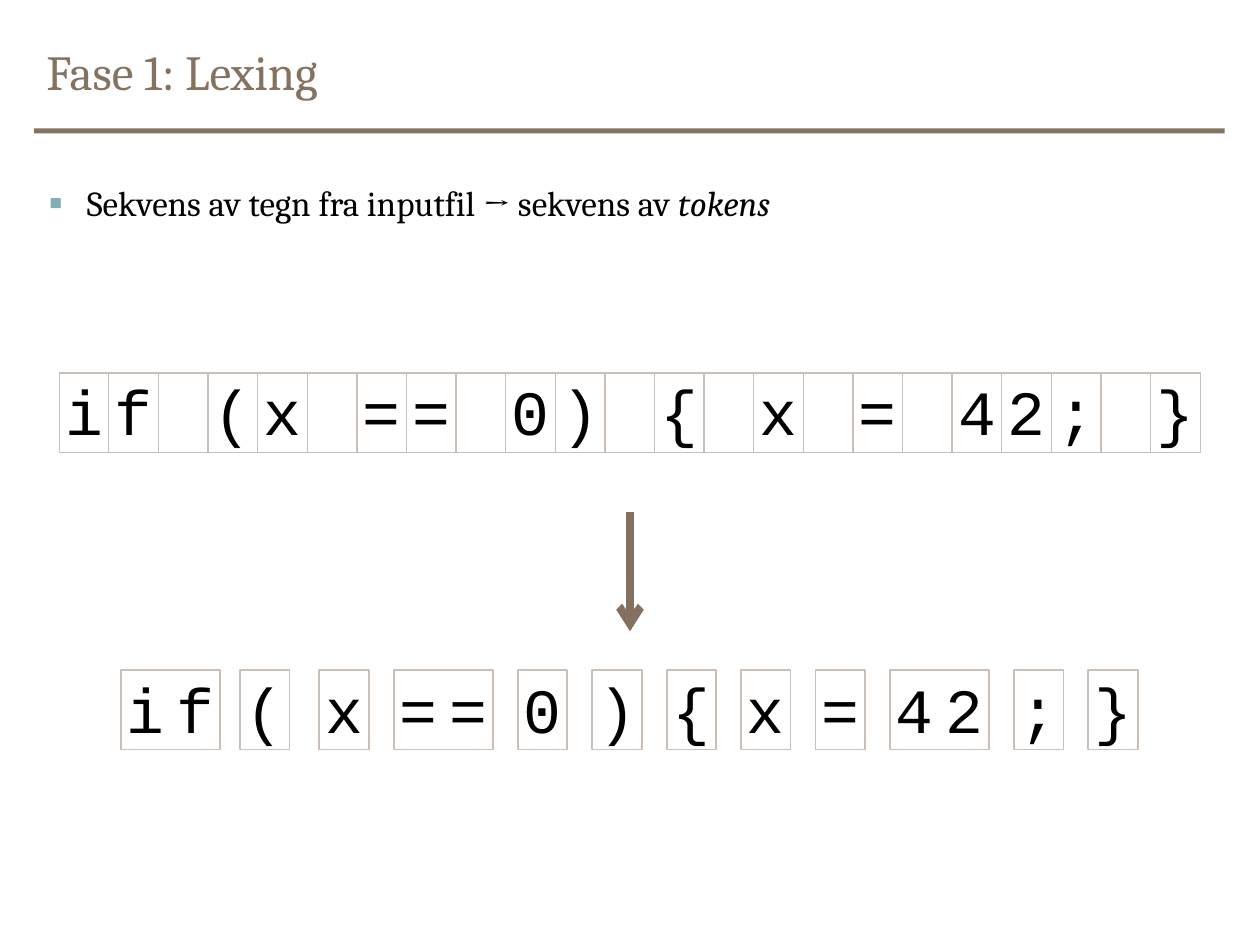
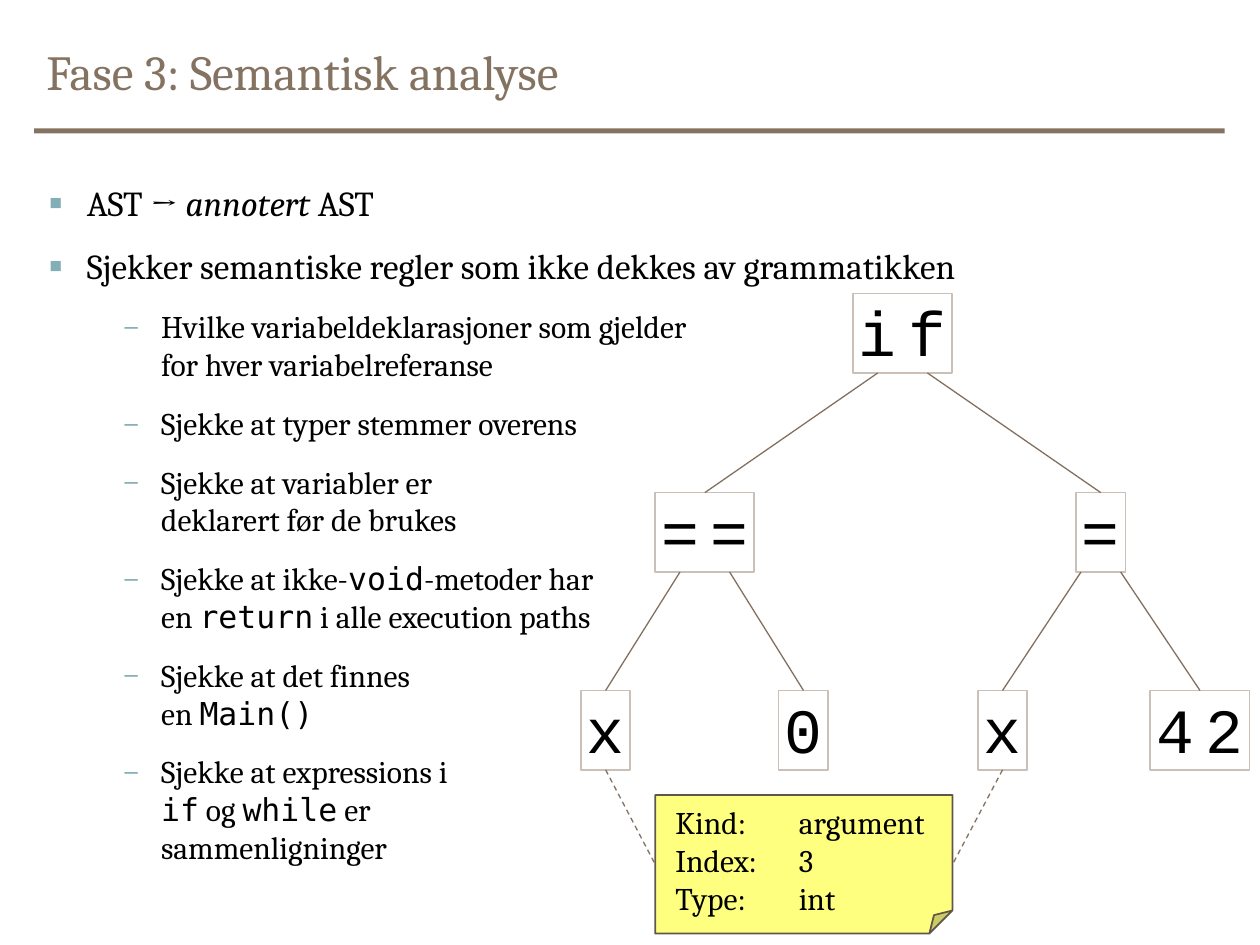
import pptx
import pptx.dml.color
import pptx.enum.dml
import pptx.enum.shapes
import pptx.enum.text
import pptx.oxml.ns
import pptx.util
from lxml import etree

Inches = pptx.util.Inches
Pt = pptx.util.Pt
RGBColor = pptx.dml.color.RGBColor
Align = pptx.enum.text.PP_ALIGN
Anchor = pptx.enum.text.MSO_ANCHOR
Shapes = pptx.enum.shapes.MSO_SHAPE
qn = pptx.oxml.ns.qn

# Content: a plain string is upright serif, a pair is (text, style)
LEXING_TITLE = "Fase 1: Lexing"
LEXING_BULLETS = [
    (1, ["Sekvens av tegn fra inputfil → sekvens av ", ("tokens", "italic")]),
]
SOURCE_CODE = "if (x == 0) { x = 42; }"
TOKENS = ["if", "(", "x", "==", "0", ")", "{", "x", "=", "42", ";", "}"]

ANALYSIS_TITLE = "Fase 3: Semantisk analyse"
ANALYSIS_BULLETS = [
    (1, ["AST → ", ("annotert", "italic"), " AST"]),
    (1, ["Sjekker semantiske regler som ikke dekkes av grammatikken"]),
    (2, ["Hvilke variabeldeklarasjoner som gjelder\nfor hver variabelreferanse"]),
    (2, ["Sjekke at typer stemmer overens"]),
    (2, ["Sjekke at variabler er\ndeklarert før de brukes"]),
    (2, ["Sjekke at ikke-", ("void", "mono"), "-metoder har\nen ",
         ("return", "mono"), " i alle execution paths"]),
    (2, ["Sjekke at det finnes\nen ", ("Main()", "mono")]),
    (2, ["Sjekke at expressions i\n", ("if", "mono"), " og ",
         ("while", "mono"), " er\nsammenligninger"]),
]
# Tree nodes: name -> (token, left, top)
TREE_NODES = {
    "if": ("if", 6.77, 2.33),
    "compare": ("==", 5.2, 3.91),
    "assign": ("=", 8.54, 3.91),
    "compared x": ("x", 4.61, 5.48),
    "zero": ("0", 6.18, 5.48),
    "assigned x": ("x", 7.76, 5.48),
    "42": ("42", 9.13, 5.48),
}
# Tree edges: (parent, child, share of the parent's width where it starts)
TREE_EDGES = [
    ("if", "compare", 0.25), ("if", "assign", 0.75),
    ("compare", "compared x", 0.25), ("compare", "zero", 0.75),
    ("assign", "assigned x", 0.1), ("assign", "42", 0.9),
]
NOTE_TEXT = "Kind:\targument\nIndex:\t3\nType:\tint"
NOTE_LINKS = [("compared x", 1), ("assigned x", 3)]

# Shared style
BROWN = RGBColor(0x85, 0x73, 0x62)
EDGE = RGBColor(0x83, 0x70, 0x5F)
TEAL = RGBColor(0x82, 0xAE, 0xB6)
BOX_LINE = RGBColor(0xCB, 0xC0, 0xB7)
NOTE_FILL = RGBColor(0xFF, 0xFF, 0x7F)
NOTE_LINE = RGBColor(0x62, 0x55, 0x49)
WHITE = RGBColor(0xFF, 0xFF, 0xFF)
BLACK = RGBColor(0, 0, 0)
SERIF, MONO, CODE = "Cambria", "DejaVu Sans Mono", "Courier New"
LEVELS = {1: ("▪", 0.3, 20), 2: ("–", 0.89, 18)}  # bullet, indent, size
CELL_WIDTH, CELL_HEIGHT = 9.45 / 24, 0.63


def write_text(frame, runs, size=18, font=SERIF, color=BLACK, align=Align.LEFT,
               anchor=Anchor.TOP, insets=(0.1, 0.05, 0.1, 0.05), wrap=True,
               new_paragraph=False, line_spacing=None, space_after=0,
               bullet=None, indent=0, tab=None):
    """Write one paragraph of runs into a text frame."""
    frame.word_wrap = wrap
    frame.vertical_anchor = anchor
    (frame.margin_left, frame.margin_top,
     frame.margin_right, frame.margin_bottom) = map(Inches, insets)
    paragraph = frame.add_paragraph() if new_paragraph else frame.paragraphs[0]
    paragraph.alignment = align
    paragraph.space_after = Pt(space_after)
    if line_spacing:
        paragraph.line_spacing = Pt(line_spacing)
    properties = paragraph._p.get_or_add_pPr()
    if bullet:
        properties.set("marL", str(Inches(indent)))
        properties.set("indent", str(-Inches(0.3)))
        bullet_color = etree.SubElement(properties, qn("a:buClr"))
        etree.SubElement(bullet_color, qn("a:srgbClr"), val=str(TEAL))
        etree.SubElement(properties, qn("a:buFont"), typeface=SERIF)
        etree.SubElement(properties, qn("a:buChar"), char=bullet)
    if tab:
        tabs = etree.SubElement(properties, qn("a:tabLst"))
        etree.SubElement(tabs, qn("a:tab"), pos=str(Inches(tab)), algn="l")
    for item in runs:
        text, style = (item, None) if isinstance(item, str) else item
        for number, line in enumerate(text.split("\n")):
            if number:
                paragraph.add_line_break()
            if not line:
                continue
            run = paragraph.add_run()
            run.text = line
            run.font.name = MONO if style == "mono" else font
            run.font.size = Pt(size)
            run.font.color.rgb = color
            if style == "italic":
                run.font.italic = True


def add_box(slide, left, top, width, height, fill=None, line=None,
            line_width=1, kind=Shapes.RECTANGLE):
    shape = slide.shapes.add_shape(
        kind, Inches(left), Inches(top), Inches(width), Inches(height))
    shape.shadow.inherit = False
    if fill is None:
        shape.fill.background()
    else:
        shape.fill.solid()
        shape.fill.fore_color.rgb = fill
    if line is None:
        shape.line.fill.background()
    else:
        shape.line.color.rgb = line
        shape.line.width = Pt(line_width)
    return shape


def add_line(slide, start=(0, 0), end=(0, 0), width=0.75):
    connector = slide.shapes.add_connector(
        pptx.enum.shapes.MSO_CONNECTOR.STRAIGHT,
        *map(Inches, start), *map(Inches, end))
    connector.line.color.rgb = EDGE
    connector.line.width = Pt(width)
    etree.SubElement(connector._element.spPr, qn("a:effectLst"))
    return connector


def add_cells(slide, text, left, top, line=None):
    """One square per character."""
    for index, character in enumerate(text):
        cell = add_box(slide, left + index * CELL_WIDTH, top,
                       CELL_WIDTH, CELL_HEIGHT, WHITE, line, 0.75)
        if character != " ":
            write_text(cell.text_frame, [character], size=36, font=CODE,
                       align=Align.CENTER, insets=(0, 0, 0, 0), wrap=False)


def add_token(slide, text, left, top):
    """Characters framed together; returns the frame."""
    add_cells(slide, text, left, top)
    return add_box(slide, left, top, len(text) * CELL_WIDTH, CELL_HEIGHT,
                   line=BOX_LINE)


def add_slide(presentation, title, bullets, body_height):
    slide = presentation.slides.add_slide(presentation.slide_layouts[6])
    add_box(slide, 0.27, 1.02, 9.45, 0.04, BROWN)
    title_box = slide.shapes.add_textbox(
        Inches(0.27), Inches(0.19), Inches(9.45), Inches(0.79))
    write_text(title_box.text_frame, [title], size=28, color=BROWN,
               anchor=Anchor.MIDDLE, line_spacing=30)
    body = slide.shapes.add_textbox(
        Inches(0.29), Inches(1.39), Inches(9.42), Inches(body_height))
    for number, (level, runs) in enumerate(bullets):
        bullet, indent, size = LEVELS[level]
        write_text(body.text_frame, runs, size=size, bullet=bullet,
                   indent=indent, space_after=12, new_paragraph=number > 0)
    return slide


def build_lexing(presentation):
    slide = add_slide(presentation, LEXING_TITLE, LEXING_BULLETS, 5.31)

    # Characters of the input file
    add_cells(slide, SOURCE_CODE, 0.47, 2.96, BOX_LINE)

    # Tokens, half a cell apart; the first parenthesis sits closer to "if"
    left = 0.96
    for token in TOKENS:
        add_token(slide, token, left - (0.04 if token == "(" else 0), 5.32)
        left += (len(token) + 0.5) * CELL_WIDTH

    # Arrow from characters to tokens
    arrow = add_line(slide, (5, 4.06), (5, 5.01), 4.5)
    etree.SubElement(arrow.line._get_or_add_ln(), qn("a:tailEnd"), type="arrow")


def build_analysis(presentation):
    slide = add_slide(presentation, ANALYSIS_TITLE, ANALYSIS_BULLETS, 5.86)

    # Syntax tree
    frames = {name: add_token(slide, *node) for name, node in TREE_NODES.items()}
    for parent, child, share in TREE_EDGES:
        token, left, top = TREE_NODES[parent]
        start = (left + share * len(token) * CELL_WIDTH, top + CELL_HEIGHT)
        add_line(slide, start).end_connect(frames[child], 0)

    # Annotation shared by both variable references
    note = add_box(slide, 5.2, 6.31, 2.36, 1.1, NOTE_FILL, NOTE_LINE,
                   kind=Shapes.FOLDED_CORNER)
    write_text(note.text_frame, [NOTE_TEXT], anchor=Anchor.MIDDLE,
               insets=(0.16, 0.16, 0.1, 0.05), tab=0.98)
    for name, side in NOTE_LINKS:
        link = add_line(slide)
        link.begin_connect(frames[name], 2)
        link.end_connect(note, side)
        link.line.dash_style = pptx.enum.dml.MSO_LINE.DASH


def main():
    presentation = pptx.Presentation()
    presentation.slide_width = Inches(10)
    presentation.slide_height = Inches(7.5)
    build_lexing(presentation)
    build_analysis(presentation)
    presentation.save("out.pptx")


if __name__ == "__main__":
    main()
